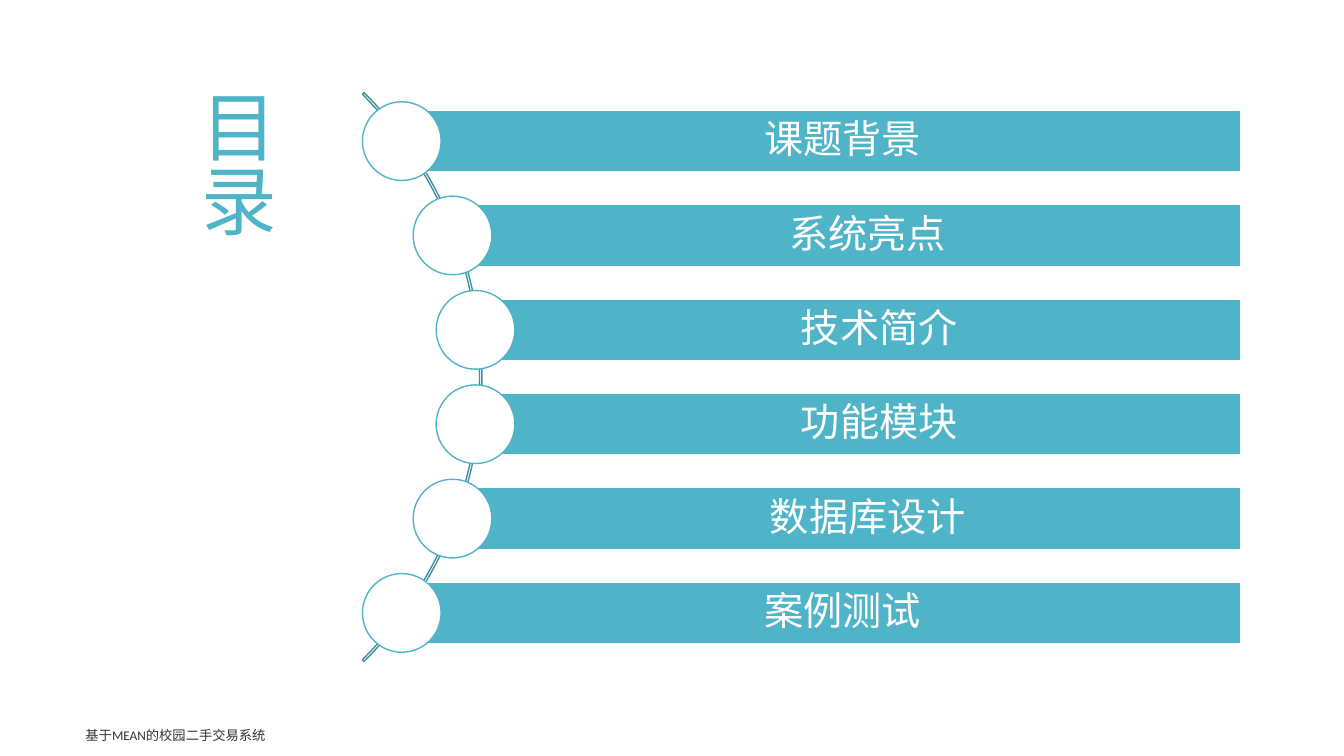
from math import sqrt

from pptx import Presentation
from pptx.dml.color import RGBColor
from pptx.enum.shapes import MSO_SHAPE
from pptx.enum.text import MSO_ANCHOR, PP_ALIGN
from pptx.util import Pt

TEAL, DARK_TEAL, WHITE, GREY = "50B4C8", "4090A0", "FFFFFF", "333333"
TOPICS = ["课题背景", "系统亮点", "技术简介", "功能模块", "数据库设计", "案例测试"]

ARC_X, ARC_Y, ARC_RADIUS = 56.9, 269.3, 287.3
NODE_SHIFT = -2.6
ROW_PITCH = 67.4
BAR_RIGHT, BAR_HEIGHT = 886, 44.3
NODE_SIZE = 56.2


def color(hex_value):
    return RGBColor.from_string(hex_value)


def add_outlined(slide, kind, left, top, width, height, line, fill=None):
    shape = slide.shapes.add_shape(kind, Pt(left), Pt(top), Pt(width), Pt(height))
    shape.shadow.inherit = False
    if fill:
        shape.fill.solid()
        shape.fill.fore_color.rgb = color(fill)
    else:
        shape.fill.background()
    shape.line.color.rgb = color(line)
    shape.line.width = Pt(1)
    return shape


def write(frame, text, size, font_color, align=PP_ALIGN.LEFT, spacing=1.0):
    frame.word_wrap = True
    frame.vertical_anchor = MSO_ANCHOR.MIDDLE
    paragraph = frame.paragraphs[0]
    paragraph.text = text
    paragraph.alignment = align
    paragraph.line_spacing = spacing
    paragraph.font.name = "Calibri"
    paragraph.font.size = Pt(size)
    paragraph.font.color.rgb = color(font_color)


def add_label(slide, text, left, top, width, height, size, font_color, spacing=1.0):
    label = slide.shapes.add_textbox(Pt(left), Pt(top), Pt(width), Pt(height))
    write(label.text_frame, text, size, font_color, spacing=spacing)
    return label


def add_vertical_title(slide, text):
    title = add_label(slide, text, 60.5, 56.2, 207.4, 427, 54, TEAL, 0.85)
    title.text_frame._txBody.bodyPr.set("vert", "eaVert")
    title.text_frame.paragraphs[0].runs[0].font._element.set("spc", "-120")


def add_arc(slide):
    arc = add_outlined(slide, MSO_SHAPE.BLOCK_ARC, ARC_X - ARC_RADIUS, ARC_Y - ARC_RADIUS,
                       2 * ARC_RADIUS, 2 * ARC_RADIUS, DARK_TEAL)
    # Angles from 315 to 45 degrees, then the band thickness
    for index, value in enumerate((189, 27, 0.003)):
        arc.adjustments[index] = value


def add_topic(slide, text, offset):
    """Add a bar and its node, offset vertically from the middle of the arc."""
    x = ARC_X + NODE_SHIFT + sqrt(ARC_RADIUS ** 2 - offset ** 2)
    y = ARC_Y + offset
    bar = add_outlined(slide, MSO_SHAPE.RECTANGLE, x, y - BAR_HEIGHT / 2,
                       BAR_RIGHT - x, BAR_HEIGHT, WHITE, TEAL)
    frame = bar.text_frame
    frame.margin_left = Pt(36)
    frame.margin_right = frame.margin_top = frame.margin_bottom = Pt(5.6)
    write(frame, text, 28, WHITE, PP_ALIGN.CENTER, 0.9)
    add_outlined(slide, MSO_SHAPE.OVAL, x - NODE_SIZE / 2, y - NODE_SIZE / 2,
                 NODE_SIZE, NODE_SIZE, TEAL, WHITE)


def main():
    deck = Presentation()
    deck.slide_width, deck.slide_height = Pt(960), Pt(540)
    slide = deck.slides.add_slide(deck.slide_layouts[6])
    add_vertical_title(slide, "目录")
    add_label(slide, "基于MEAN的校园二手交易系统", 54, 516.2, 396, 18, 9.5, GREY)
    add_arc(slide)
    middle = (len(TOPICS) - 1) / 2
    for row, topic in enumerate(TOPICS):
        add_topic(slide, topic, (row - middle) * ROW_PITCH)
    deck.save("out.pptx")


if __name__ == "__main__":
    main()
